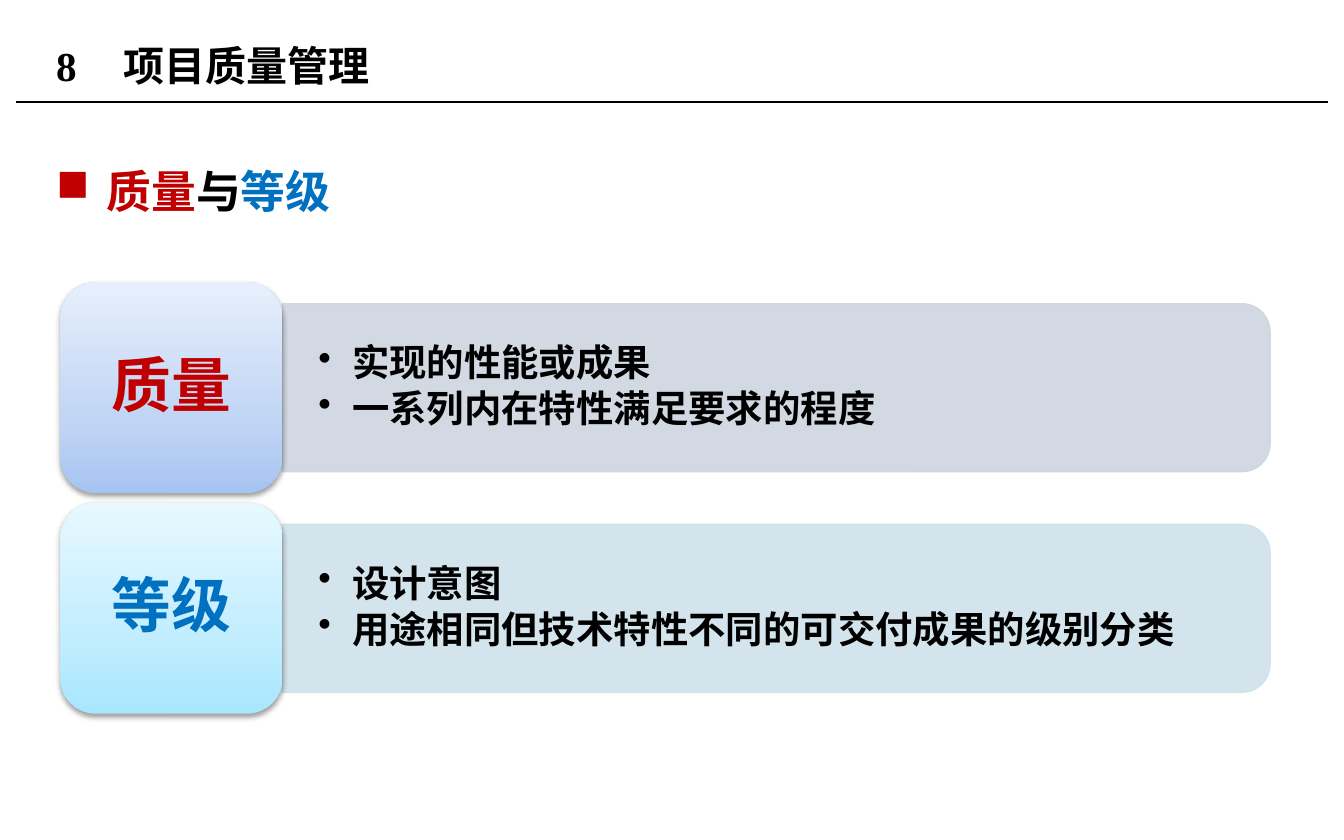
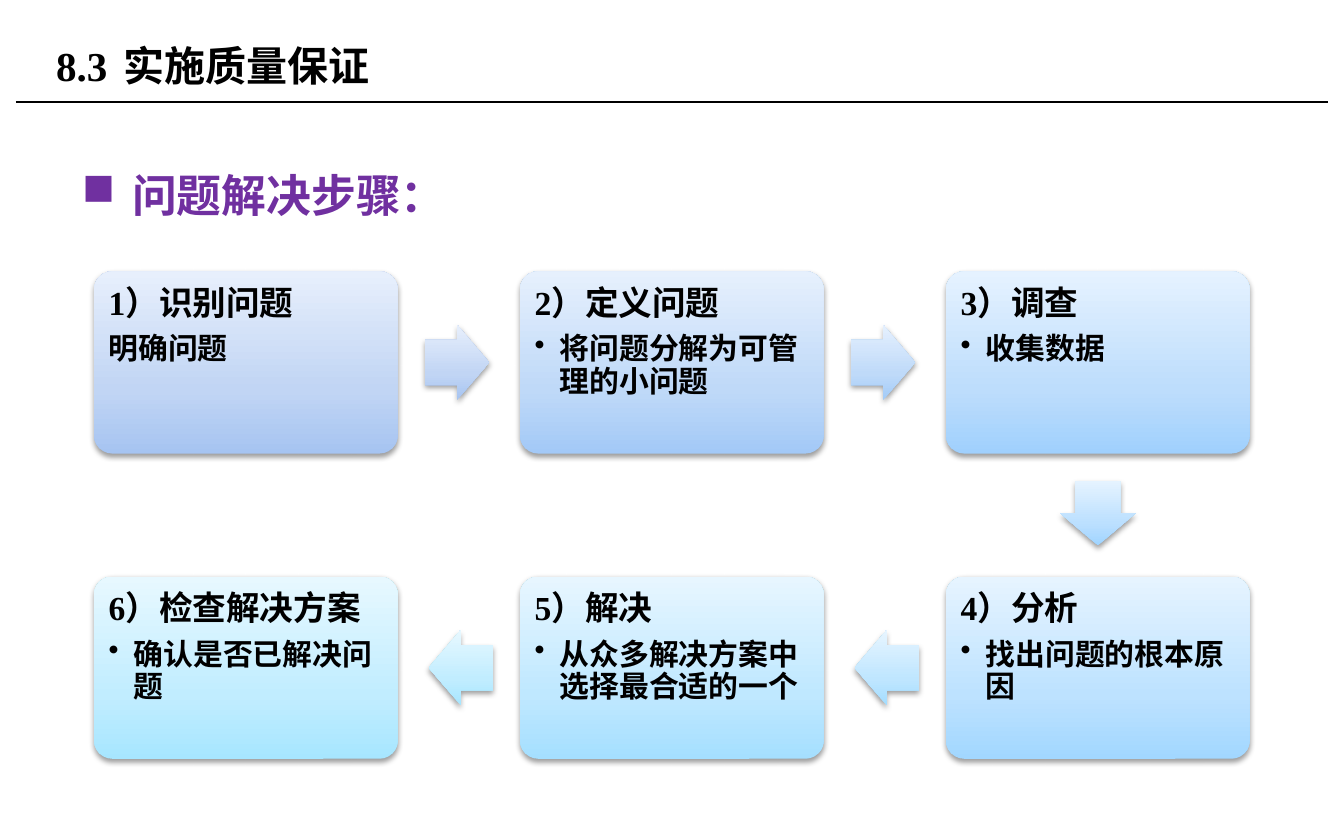
from copy import deepcopy
from dataclasses import dataclass
from math import atan2, degrees

from lxml import etree
from pptx import Presentation
from pptx.dml.color import RGBColor
from pptx.enum.lang import MSO_LANGUAGE_ID
from pptx.enum.shapes import MSO_CONNECTOR, MSO_SHAPE
from pptx.enum.text import MSO_ANCHOR, PP_ALIGN
from pptx.oxml.ns import qn
from pptx.util import Pt

ROUND_RECT = MSO_SHAPE.ROUNDED_RECTANGLE
BAND_SHAPE = MSO_SHAPE.ROUND_2_SAME_RECTANGLE
ARROW = MSO_SHAPE.RIGHT_ARROW
STRAIGHT = MSO_CONNECTOR.STRAIGHT
TOP, MIDDLE = MSO_ANCHOR.TOP, MSO_ANCHOR.MIDDLE
LEFT, CENTER = PP_ALIGN.LEFT, PP_ALIGN.CENTER
CHINESE = MSO_LANGUAGE_ID.SIMPLIFIED_CHINESE

FONT = "Times New Roman"
BLACK = RGBColor(0x00, 0x00, 0x00)
RED = RGBColor(0xC0, 0x00, 0x00)
BLUE = RGBColor(0x00, 0x70, 0xC0)
PURPLE = RGBColor(0x70, 0x30, 0xA0)
GREY_BAND = RGBColor(0xCE, 0xD5, 0xE0)
TEAL_BAND = RGBColor(0xD0, 0xE2, 0xEA)

Gradient = tuple[RGBColor, RGBColor, RGBColor]
STOPS = (0, 0.35, 1)


def gradient(*codes: str) -> Gradient:
    return tuple(RGBColor.from_string(code) for code in codes)


PERIWINKLE = gradient("A6C4F1", "C1D5F4", "E7EFFC")
CYAN = gradient("A7E6FF", "C1EDFF", "E7F8FF")
CARD_GRADIENTS = (
    PERIWINKLE,
    gradient("A3C9F7", "BFD9F8", "E6F0FD"),
    gradient("A0D0FD", "BDDDFC", "E5F2FF"),
    gradient("A2D7FF", "BDE2FF", "E6F4FF"),
    gradient("A5DFFF", "BFE8FF", "E7F6FF"),
    CYAN,
)
ARROW_GRADIENTS = (
    PERIWINKLE,
    gradient("A2CBF8", "BFDAF9", "E5F0FE"),
    gradient("A0D4FF", "BCE0FF", "E5F3FF"),
    gradient("A4DDFF", "BFE6FF", "E7F5FF"),
    CYAN,
)


@dataclass(frozen=True)
class Box:
    x: float
    y: float
    w: float
    h: float

    @property
    def center(self) -> tuple[float, float]:
        return self.x + self.w / 2, self.y + self.h / 2

    def emu(self) -> tuple[Pt, Pt, Pt, Pt]:
        return Pt(self.x), Pt(self.y), Pt(self.w), Pt(self.h)


def centered(cx: float, cy: float, w: float, h: float) -> Box:
    return Box(cx - w / 2, cy - h / 2, w, h)


@dataclass(frozen=True)
class Concept:
    name: str
    color: RGBColor
    tile: Gradient
    band: RGBColor
    points: tuple[str, ...]


@dataclass(frozen=True)
class Step:
    title: str
    detail: str
    bullet: str = "•"


CONCEPTS = (
    Concept("质量", RED, PERIWINKLE, GREY_BAND,
            ("实现的性能或成果", "一系列内在特性满足要求的程度")),
    Concept("等级", BLUE, CYAN, TEAL_BAND,
            ("设计意图", "用途相同但技术特性不同的可交付成果的级别分类")),
)
STEPS = (
    Step("1）识别问题", "明确问题", bullet=""),
    Step("2）定义问题", "将问题分解为可管理的小问题"),
    Step("3）调查", "收集数据"),
    Step("4）分析", "找出问题的根本原因"),
    Step("5）解决", "从众多解决方案中选择最合适的一个"),
    Step("6）检查解决方案", "确认是否已解决问题"),
)

TITLE_BOX = Box(23, 9.4, 459.4, 51)
RULE_Y, RULE_START, RULE_END = 54.7, 8.5, 711.5
TILE = Box(32.4, 151.2, 118.8, 113)
TILE_PITCH = 118.2
BAND_W, BAND_H = 529.2, 90
BAND_TEXT_W, BAND_TEXT_H = 525, 81.4
CARD = Box(50.4, 145.4, 162.7, 97.6)
COLUMNS, COLUMN_PITCH, ROW_PITCH = 3, 228.2, 163.5
ARROW_W, ARROW_H, ARROW_BACKSET = 34.5, 40.4, 1


def write(tf, text, *, size: float, color: RGBColor = BLACK, align=LEFT,
          line: float = 1, after: float = 0, indent: float = 0,
          bullet: str = "", level: int = 0, tab: float = 0) -> None:
    """Add a paragraph; text is a string or a list of (string, colour)."""
    p = tf.paragraphs[0]
    if p.runs:
        p = tf.add_paragraph()
    p_pr = p._p.get_or_add_pPr()
    p_pr.set("marL", str(Pt(indent)))
    p_pr.set("indent", str(-Pt(indent)))
    if bullet:
        etree.SubElement(p_pr, qn("a:buChar"), char=bullet)
    else:
        etree.SubElement(p_pr, qn("a:buNone"))
    if tab:
        tabs = etree.SubElement(p_pr, qn("a:tabLst"))
        etree.SubElement(tabs, qn("a:tab"), pos=str(Pt(tab)), algn="l")
    p.level = level
    p.alignment = align
    p.line_spacing = float(line)
    p.space_before = Pt(0)
    p.space_after = Pt(after)
    for words, run_color in [(text, color)] if isinstance(text, str) else text:
        r = p.add_run()
        r.text = words
        r.font.name = FONT
        r.font.size = Pt(size)
        r.font.bold = True
        r.font.color.rgb = run_color
        r.font.language_id = CHINESE


def set_frame(s, *, anchor=TOP, inset: tuple[float, float] = (7.2, 3.6)):
    tf = s.text_frame
    tf.word_wrap = True
    tf.vertical_anchor = anchor
    tf.margin_left = tf.margin_right = Pt(inset[0])
    tf.margin_top = tf.margin_bottom = Pt(inset[1])
    return tf


def add_textbox(slide, box: Box, **frame):
    return set_frame(slide.shapes.add_textbox(*box.emu()), **frame)


def add_glossy(slide, kind, box: Box, colors: Gradient,
               adjustments: tuple[float, ...] = (), rotation: float = 0):
    """Add a shape with an upright gradient and a soft shadow below it."""
    s = slide.shapes.add_shape(kind, *box.emu())
    for i, value in enumerate(adjustments):
        s.adjustments[i] = value
    s.rotation = rotation
    s.line.fill.background()
    s.fill.gradient()
    s.fill.gradient_angle = 90
    sp_pr = s.element.spPr
    fill = sp_pr.find(qn("a:gradFill"))
    fill.set("rotWithShape", "0")
    stops = fill.find(qn("a:gsLst"))
    stops.append(deepcopy(stops[-1]))
    for stop, position, color in zip(s.fill.gradient_stops, STOPS, colors):
        stop.position = position
        stop.color.rgb = color
    s.shadow.inherit = False
    shadow = etree.SubElement(
        sp_pr.find(qn("a:effectLst")), qn("a:outerShdw"), blurRad=str(Pt(3.1)),
        dist=str(Pt(1.6)), dir="5400000", rotWithShape="0")
    shade = etree.SubElement(shadow, qn("a:srgbClr"), val=str(BLACK))
    etree.SubElement(shade, qn("a:alpha"), val="38000")
    return s


def add_band(slide, box: Box, color: RGBColor) -> None:
    """Add a translucent band, turned so its rounded end faces right."""
    turned = centered(*box.center, box.h, box.w)
    s = slide.shapes.add_shape(BAND_SHAPE, *turned.emu())
    s.rotation = 90
    s.fill.solid()
    s.fill.fore_color.rgb = color
    s.line.color.rgb = color
    s.line.width = Pt(0.75)
    s.shadow.inherit = False
    for node in s.element.spPr.iter(qn("a:srgbClr")):
        etree.SubElement(node, qn("a:alpha"), val="90000")


def add_base(prs, number: str, title: str, tab: float):
    """Add a blank slide with its numbered title and the rule below it."""
    slide = prs.slides.add_slide(prs.slide_layouts[6])
    rule = slide.shapes.add_connector(
        STRAIGHT, Pt(RULE_START), Pt(RULE_Y), Pt(RULE_END), Pt(RULE_Y))
    rule.line.color.rgb = BLACK
    rule.line.width = Pt(0.75)
    etree.SubElement(rule.element.spPr, qn("a:effectLst"))
    tf = add_textbox(slide, TITLE_BOX, anchor=MIDDLE)
    write(tf, f"{number}\t{title}", size=22, tab=tab)
    return slide


def add_heading(slide, box: Box, runs: list[tuple[str, RGBColor]]) -> None:
    write(add_textbox(slide, box), runs, size=24, line=1.5, indent=27, bullet="■")


def add_concept(slide, concept: Concept, row: int) -> None:
    tile = Box(TILE.x, TILE.y + row * TILE_PITCH, TILE.w, TILE.h)
    left, cy = tile.x + tile.w, tile.center[1]
    add_band(slide, Box(left, cy - BAND_H / 2, BAND_W, BAND_H), concept.band)
    tf = add_textbox(
        slide, Box(left, cy - BAND_TEXT_H / 2, BAND_TEXT_W, BAND_TEXT_H),
        anchor=MIDDLE, inset=(19.4, 10))
    for point in concept.points:
        write(tf, point, size=20, line=0.9, after=3, indent=18, bullet="•", level=1)
    s = add_glossy(slide, ROUND_RECT, tile, concept.tile)
    tf = set_frame(s, anchor=MIDDLE, inset=(9.4, 5))
    write(tf, concept.name, size=32, color=concept.color, align=CENTER, line=0.9)


def card_box(index: int) -> Box:
    """Place cards left to right, then right to left on the next row."""
    row, col = divmod(index, COLUMNS)
    if row % 2:
        col = COLUMNS - 1 - col
    return Box(CARD.x + col * COLUMN_PITCH, CARD.y + row * ROW_PITCH, CARD.w, CARD.h)


def add_card(slide, step: Step, box: Box, colors: Gradient) -> None:
    tf = set_frame(add_glossy(slide, ROUND_RECT, box, colors, (0.1,)), inset=(5, 5))
    write(tf, step.title, size=18, line=0.9, after=6.3)
    write(tf, step.detail, size=16, line=0.9, after=2.4, indent=13.5,
          bullet=step.bullet, level=1)


def add_arrow(slide, start: Box, end: Box, colors: Gradient) -> None:
    """Add an arrow midway between two cards, set slightly back."""
    (x1, y1), (x2, y2) = start.center, end.center
    dx, dy = x2 - x1, y2 - y1
    back = ARROW_BACKSET / max(abs(dx), abs(dy))
    box = centered((x1 + x2) / 2 - dx * back, (y1 + y2) / 2 - dy * back,
                   ARROW_W, ARROW_H)
    add_glossy(slide, ARROW, box, colors, (0.6, 0.5), degrees(atan2(dy, dx)))


def build_quality_and_grade(prs) -> None:
    slide = add_base(prs, "8", "项目质量管理", 27.6)
    add_heading(slide, Box(23, 69.8, 680, 281),
                [("质量", RED), ("与", BLACK), ("等级", BLUE)])
    for row, concept in enumerate(CONCEPTS):
        add_concept(slide, concept, row)


def build_problem_solving(prs) -> None:
    slide = add_base(prs, "8.3", "实施质量保证", 44.2)
    add_heading(slide, Box(36.7, 72, 646.6, 281), [("问题解决步骤：", PURPLE)])
    boxes = [card_box(i) for i in range(len(STEPS))]
    for step, box, colors in zip(STEPS, boxes, CARD_GRADIENTS):
        add_card(slide, step, box, colors)
    for start, end, colors in zip(boxes, boxes[1:], ARROW_GRADIENTS):
        add_arrow(slide, start, end, colors)


def main() -> None:
    prs = Presentation()
    prs.slide_width, prs.slide_height = Pt(720), Pt(450)
    build_quality_and_grade(prs)
    build_problem_solving(prs)
    prs.save("out.pptx")


if __name__ == "__main__":
    main()
